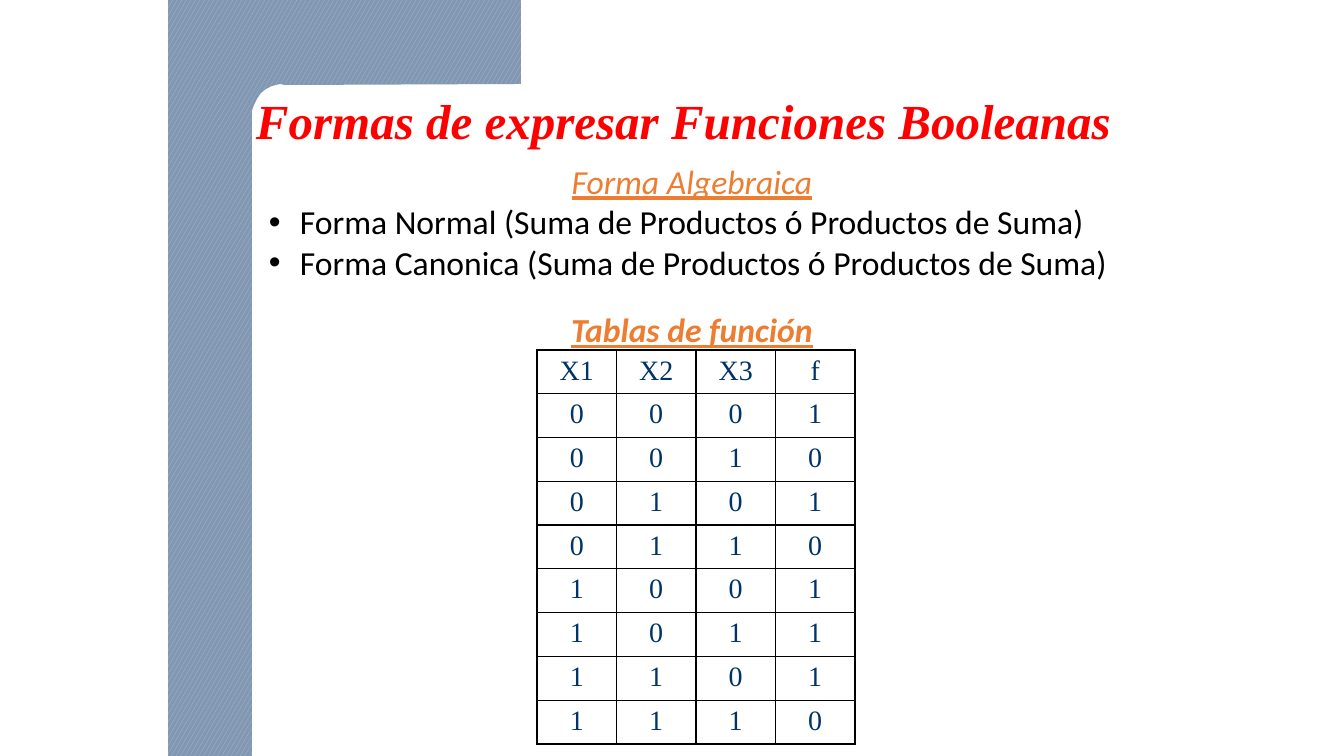
"""Build the slide on ways of expressing Boolean functions."""
import itertools

import lxml.etree
import pptx
import pptx.dml.color
import pptx.enum.dml
import pptx.enum.text
import pptx.oxml.ns
import pptx.util

PX = 914400 / 100.8
ORANGE = "ED7D31"
CENTER = pptx.enum.text.PP_ALIGN.CENTER
BAND = [(168, 0), (252, 0), (252, 756), (168, 756)]
CORNER = [(521, 0), (521, 84), (285, 85), (280, 84), (272, 86), (266, 89), (261, 93),
          (257, 99), (254, 105), (252, 111), (252, 129), (219, 129), (219, 0)]
OUTPUTS = "10101110"


def px(n):
    """Turn pixels into EMU."""
    return pptx.util.Emu(round(n * PX))


def color(value):
    """Turn a hex string into a colour."""
    return pptx.dml.color.RGBColor.from_string(value)


def sub(parent, tag, **attrs):
    """Append an XML child with attributes."""
    return lxml.etree.SubElement(parent, pptx.oxml.ns.qn(tag), attrs)


def style(p, size, name, value, bold=False, italic=False, underline=False):
    """Format every run of a paragraph."""
    for r in p.runs:
        r.font.size = pptx.util.Pt(size)
        r.font.name = name
        r.font.color.rgb = color(value)
        r.font.bold = bold
        r.font.italic = italic
        r.font.underline = underline


def add_patterned(s, points):
    """Draw a closed outline filled with the confetti pattern."""
    builder = s.shapes.build_freeform(*points[0], scale=PX)
    builder.add_line_segments(points[1:], close=True)
    sp = builder.convert_to_shape()
    sp.shadow.inherit = False
    sp.line.fill.background()
    sp.fill.patterned()
    sp.fill.pattern = pptx.enum.dml.MSO_PATTERN.LARGE_CONFETTI
    sp.fill.fore_color.rgb = color("9DC3E6")
    sp.fill.back_color.rgb = color("8497B0")


def add_text(s, x, y, w, h):
    """Add an unwrapped text box that grows, and return its frame."""
    tf = s.shapes.add_textbox(px(x), px(y), px(w), px(h)).text_frame
    tf.word_wrap = False
    tf.auto_size = pptx.enum.text.MSO_AUTO_SIZE.SHAPE_TO_FIT_TEXT
    return tf


def add_title(s, text):
    """Add the slide title."""
    tf = add_text(s, 256, 124, 898, 30)
    tf.margin_left = tf.margin_right = tf.margin_top = 0
    p = tf.paragraphs[0]
    p.text = text
    p.line_spacing = pptx.util.Pt(18)
    style(p, 35, "Times New Roman", "FF0000", bold=True, italic=True)


def add_heading(p, text, bold=False):
    """Write a centred underlined heading."""
    p.text = text
    p.alignment = CENTER
    style(p, 24, "Calibri", ORANGE, bold=bold, italic=True, underline=True)


def add_bullet(p, text):
    """Write a bulleted line with a hanging indent."""
    pPr = p._p.get_or_add_pPr()
    pPr.set("marL", str(px(31)))
    pPr.set("indent", str(-px(31)))
    sub(pPr, "a:buFont", typeface="Arial")
    sub(pPr, "a:buChar", char="•")
    p.text = text
    style(p, 24, "Calibri", "000000")


def add_forms(s):
    """Add the headings and the list of forms."""
    tf = add_text(s, 259, 156, 866, 201)
    add_heading(tf.paragraphs[0], "Forma Algebraica")
    for kind in ("Normal", "Canonica"):
        add_bullet(tf.add_paragraph(), f"Forma {kind} (Suma de Productos ó Productos de Suma)")
    p = tf.add_paragraph()
    add_heading(p, "Tablas de función", bold=True)
    p.space_before = pptx.util.Pt(19.5)


def fill_cell(cell, text):
    """Write a white cell with thin black borders."""
    tcPr = cell._tc.get_or_add_tcPr()
    for side in "LRTB":
        ln = sub(tcPr, f"a:ln{side}", w="12700")
        sub(sub(ln, "a:solidFill"), "a:srgbClr", val="000000")
    cell.fill.solid()
    cell.fill.fore_color.rgb = color("FFFFFF")
    p = cell.text_frame.paragraphs[0]
    p.text = text
    p.alignment = CENTER
    style(p, 20, "Times New Roman", "003366")


def add_truth_table(s):
    """Add the truth table of the function."""
    inputs = itertools.product("01", repeat=3)
    rows = [("X1", "X2", "X3", "f")] + [(*bits, f) for bits, f in zip(inputs, OUTPUTS)]
    table = s.shapes.add_table(len(rows), 4, px(537), px(350), px(318), px(394)).table
    table.first_row = table.horz_banding = False
    for i, row in enumerate(rows):
        for j, text in enumerate(row):
            fill_cell(table.cell(i, j), text)


def main():
    """Build and save the slide."""
    prs = pptx.Presentation()
    prs.slide_width, prs.slide_height = px(1344), px(756)
    s = prs.slides.add_slide(prs.slide_layouts[6])
    add_patterned(s, BAND)
    add_patterned(s, CORNER)
    add_title(s, "Formas de expresar Funciones Booleanas")
    add_forms(s)
    add_truth_table(s)
    prs.save("out.pptx")


if __name__ == "__main__":
    main()
